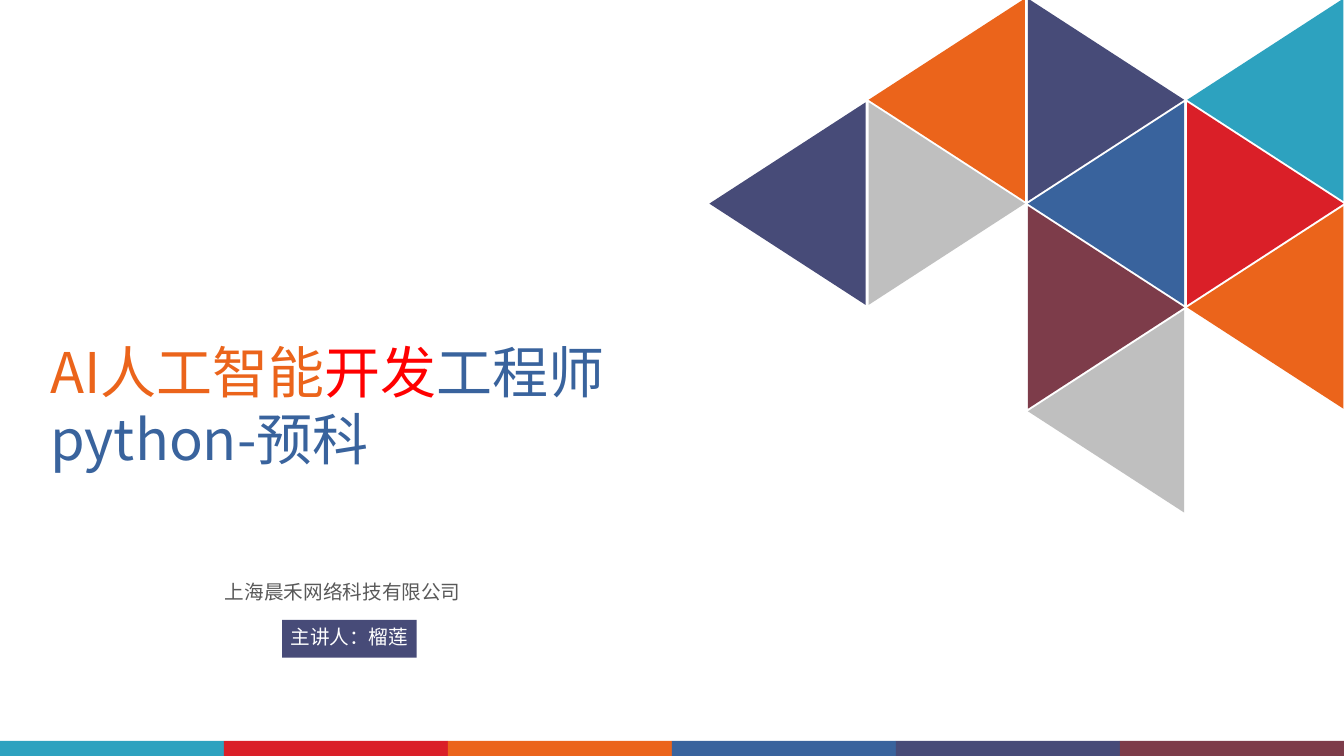
from dataclasses import dataclass

from lxml.etree import SubElement
from pptx import Presentation
from pptx.dml.color import RGBColor
from pptx.enum.shapes import MSO_SHAPE as SHAPE
from pptx.enum.text import MSO_ANCHOR as ANCHOR, PP_ALIGN as ALIGN
from pptx.oxml.ns import qn
from pptx.util import Inches, Pt


@dataclass(frozen=True)
class Theme:
    font: str = "Noto Sans CJK SC"
    title_size: int = 40
    body_size: int = 14
    teal: str = "2DA2BF"
    red: str = "DA1F28"
    orange: str = "EB641B"
    blue: str = "39639D"
    navy: str = "474B78"
    wine: str = "7D3C4A"
    silver: str = "BFBFBF"
    gray: str = "595959"
    bright_red: str = "FF0000"
    white: str = "FFFFFF"


class Deck:
    WIDTH, HEIGHT = 13.33, 7.5
    # Triangle lattice: origin is the centre of column 0, row 0
    LEFT, TOP = 7.81, 0.99
    COL, ROW = 1.58, 1.03
    BASE, DEPTH = 2.01, 1.55

    def __init__(self, theme):
        self.theme = theme
        self.prs = Presentation()
        self.prs.slide_width = Inches(self.WIDTH)
        self.prs.slide_height = Inches(self.HEIGHT)
        self.s = self.prs.slides.add_slide(self.prs.slide_layouts[5])

    def box(self, x, y, w, h):
        """Turn shares of the slide's size into lengths."""
        return (Inches(x * self.WIDTH), Inches(y * self.HEIGHT),
                Inches(w * self.WIDTH), Inches(h * self.HEIGHT))

    def set_text(self, sp, parts, size, align=ALIGN.LEFT, wrap=True):
        """Fill a shape with one paragraph of (text, colour) parts."""
        tf = sp.text_frame
        tf.word_wrap = wrap
        tf.vertical_anchor = ANCHOR.TOP
        p = tf.paragraphs[0]
        p.alignment = align
        for text, color in parts:
            r = p.add_run()
            r.text = text
            r.font.size = Pt(size)
            r.font.color.rgb = RGBColor.from_string(color)
            r.font.name = self.theme.font
            SubElement(r._r.get_or_add_rPr(), qn("a:ea"),
                       typeface=self.theme.font)

    def title(self, area, parts):
        sp = self.s.shapes.title
        sp.left, sp.top, sp.width, sp.height = self.box(*area)
        self.set_text(sp, parts, self.theme.title_size)

    def text(self, area, text, color):
        sp = self.s.shapes.add_textbox(*self.box(*area))
        self.set_text(sp, [(text, color)], self.theme.body_size)

    def shape(self, kind, area, color):
        sp = self.s.shapes.add_shape(kind, *area)
        sp.shadow.inherit = False
        sp.fill.solid()
        sp.fill.fore_color.rgb = RGBColor.from_string(color)
        sp.line.fill.background()
        return sp

    def label(self, area, text, fill):
        sp = self.shape(SHAPE.RECTANGLE, self.box(*area), fill)
        self.set_text(sp, [(text, self.theme.white)], self.theme.body_size,
                      ALIGN.CENTER, wrap=False)

    def stripe(self, colors, height):
        share = 1 / len(colors)
        for i, color in enumerate(colors):
            self.shape(SHAPE.RECTANGLE,
                       self.box(i * share, 1 - height, share, height), color)

    def triangle(self, col, row, color):
        """Neighbouring cells of the lattice point left and right in turn."""
        x = self.LEFT + col * self.COL - self.BASE / 2
        y = self.TOP + row * self.ROW - self.DEPTH / 2
        area = [Inches(v) for v in (x, y, self.BASE, self.DEPTH)]
        sp = self.shape(SHAPE.ISOSCELES_TRIANGLE, area, color)
        sp.rotation = 270 if (col + row) % 2 else 90


def main():
    t = Theme()
    deck = Deck(t)
    deck.title((0.03, 0.44, 0.5, 0.19),
               [("AI人工智能", t.orange), ("开发", t.bright_red),
                ("工程师python-预科", t.blue)])
    deck.text((0.16, 0.76, 0.2, 0.05), "上海晨禾网络科技有限公司", t.gray)
    deck.label((0.21, 0.82, 0.1, 0.05), "主讲人：榴莲", t.navy)
    deck.stripe([t.teal, t.red, t.orange, t.blue, t.navy, t.wine], 0.02)
    mosaic = [
        [None, t.orange, t.navy, t.teal],
        [t.navy, t.silver, t.blue, t.red],
        [None, None, t.wine, t.orange],
        [None, None, t.silver, None],
    ]
    for row, colors in enumerate(mosaic):
        for col, color in enumerate(colors):
            if color:
                deck.triangle(col, row, color)
    deck.prs.save("out.pptx")


if __name__ == "__main__":
    main()
